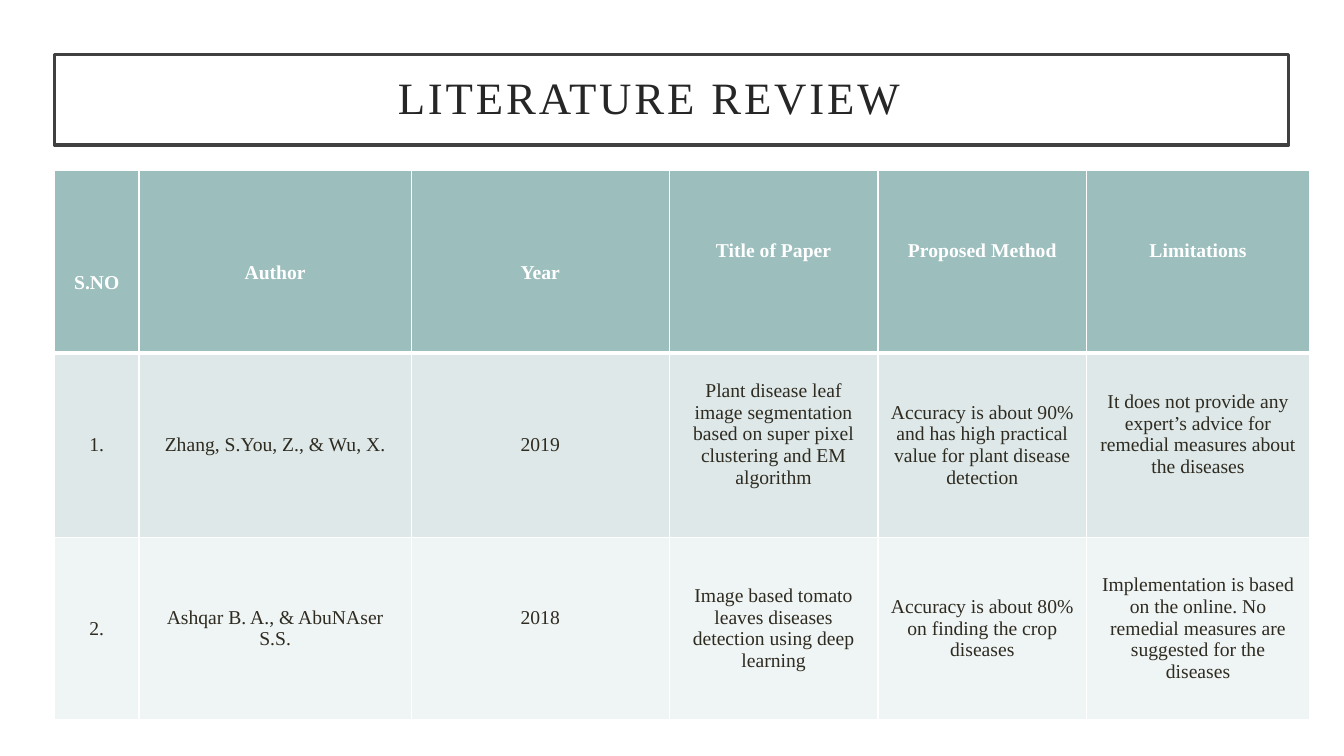
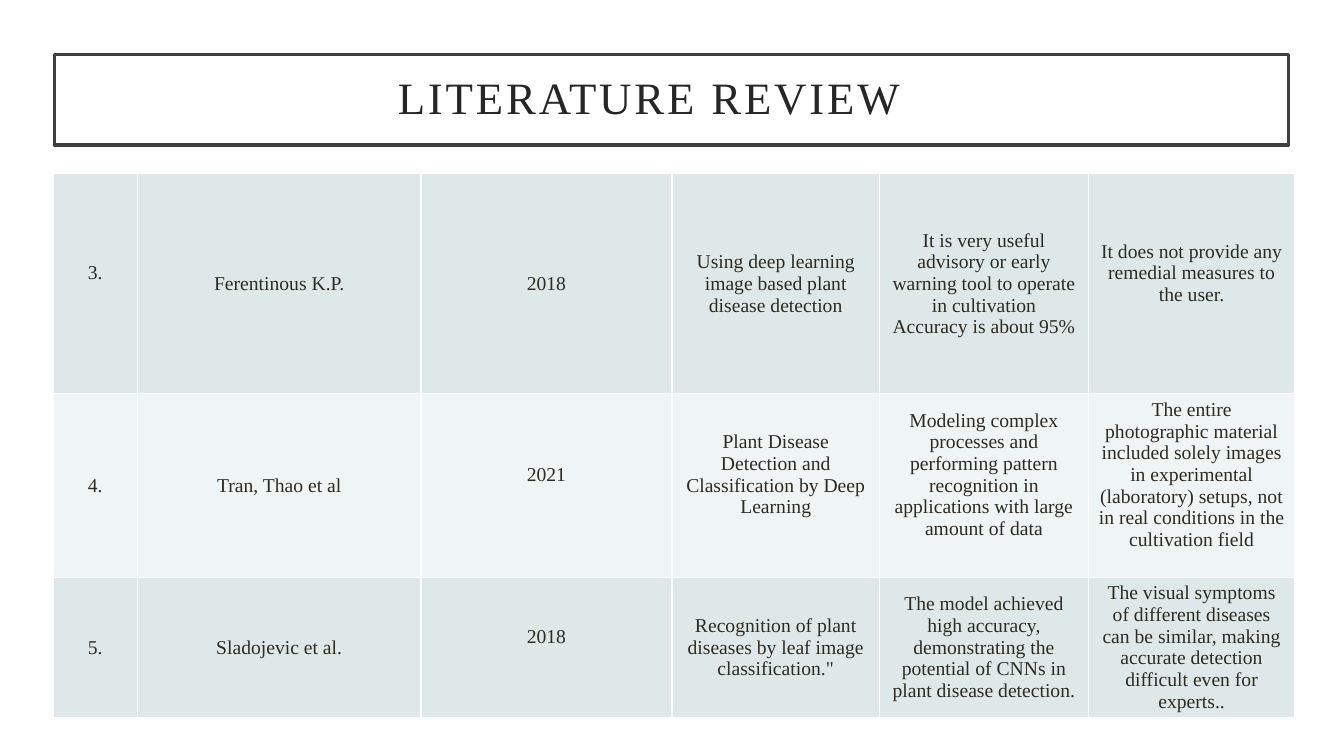
from dataclasses import dataclass

from pptx import Presentation, util as u
from pptx.dml.color import RGBColor
from pptx.enum import text
from pptx.oxml import parse_xml
from pptx.oxml.ns import nsdecls


@dataclass(frozen=True)
class Theme:
    font: str = "Times New Roman"
    title_size: int = 32
    cell_size: int = 14
    title_ink: str = "262626"
    ink: str = "2E2B21"
    white: str = "FFFFFF"
    frame: str = "404040"
    header: str = "9CBEBD"
    bands: tuple = ("DEE8E8", "EFF4F4")


theme = Theme()
prs = Presentation()
prs.slide_width, prs.slide_height = u.Inches(13.33), u.Inches(7.5)
col, row = prs.slide_width / 100, prs.slide_height / 100
half_line = u.Inches(0.215)


def style(p, size, color, bold=False):
    for r in p.runs:
        r.font.name, r.font.size, r.font.bold = theme.font, u.Pt(size), bold
        r.font.color.rgb = RGBColor.from_string(color)


def border(cell, side, width):
    cell._tc.get_or_add_tcPr().append(parse_xml(
        f'<a:ln{side} {nsdecls("a")} w="{u.Pt(width)}"><a:solidFill>'
        f'<a:srgbClr val="{theme.white}"/></a:solidFill></a:ln{side}>'))


header = ["S.NO", "Author", "Year", "Title of Paper", "Proposed Method", "Limitations"]
pages = [
    dict(
        left=4.05, top=22.55,
        widths=[6.3, 20.25, 19.2, 15.53, 15.53, 16.58],
        heights=[24.13, 24.4, 24.13],
        rows=[
            header,
            ["1.", "Zhang, S.You, Z., & Wu, X.", "2019",
             "Plant disease leaf image segmentation based on super pixel clustering and EM algorithm",
             "Accuracy is about 90% and has high practical value for plant disease detection",
             "It does not provide any expert’s advice for remedial measures about the diseases"],
            ["2.", "Ashqar B. A., & AbuNAser S.S.", "2018",
             "Image based tomato leaves diseases detection using deep learning",
             "Accuracy is about 80% on finding the crop diseases",
             "Implementation is based on the online. No remedial measures are suggested for the diseases"],
        ],
        shifts=[[2, 1, 1, -1, -1, -1], [0, 0, 0, -1, 0, -1], [0, 0, -1, 0, 0, 0]],
    ),
    dict(
        left=3.94, top=23,
        widths=[6.3, 21.08, 18.68, 15.45, 15.53, 15.38],
        heights=[29.1, 24.27, 18.53],
        rows=[
            ["3.", "Ferentinous K.P.", "2018",
             "Using deep learning image based plant disease detection",
             "It is very useful advisory or early warning tool to operate in cultivation\n"
             "Accuracy is about 95%",
             "It does not provide any remedial measures to the user."],
            ["4.", "Tran, Thao et al", "2021",
             "Plant Disease Detection and Classification by Deep Learning",
             "Modeling complex processes and performing pattern recognition in applications "
             "with large amount of data",
             "The entire photographic material included solely images in experimental "
             "(laboratory) setups, not in real conditions in the cultivation field"],
            ["5.", "Sladojevic et al.", "2018",
             "Recognition of plant diseases by leaf image classification.\"",
             "The model achieved high accuracy, demonstrating the potential of CNNs in "
             "plant disease detection.",
             "The visual symptoms of different diseases can be similar, making accurate "
             "detection difficult even for experts.."],
        ],
        shifts=[[-1, 0, 0, 0, 0, -1], [0, 0, -1, -1, -1, -1], [0, 0, -1, 0, 0, 0]],
    ),
]

for page in pages:
    s = prs.slides.add_slide(prs.slide_layouts[5])

    title = s.shapes.title
    title.left, title.top = int(4.05 * col), int(7.2 * row)
    title.width, title.height = int(91.82 * col), int(12 * row)
    title.fill.solid()
    title.fill.fore_color.rgb = RGBColor.from_string(theme.white)
    title.line.color.rgb = RGBColor.from_string(theme.frame)
    title.line.width = u.Pt(2.5)
    tf = title.text_frame
    tf.text = "LITERATURE REVIEW"
    tf.auto_size = text.MSO_AUTO_SIZE.NONE
    tf.vertical_anchor = text.MSO_ANCHOR.MIDDLE
    tf.margin_left = int(25.55 * col)
    tf.margin_top = tf.margin_right = tf.margin_bottom = u.Inches(0.2)
    p = tf.paragraphs[0]
    p.alignment, p.line_spacing = text.PP_ALIGN.LEFT, 0.9
    style(p, theme.title_size, theme.title_ink)
    p.runs[0].font._element.set("spc", "200")

    widths = [int(w * col) for w in page["widths"]]
    heights = [int(h * row) for h in page["heights"]]
    has_header = page["rows"][0] is header
    table = s.shapes.add_table(
        len(heights), len(widths), int(page["left"] * col), int(page["top"] * row),
        sum(widths), sum(heights)).table
    table.first_row = has_header
    for column, width in zip(table.columns, widths):
        column.width = width

    for i, (values, shifts) in enumerate(zip(page["rows"], page["shifts"])):
        table.rows[i].height = heights[i]
        is_header = has_header and i == 0
        fill = theme.header if is_header else theme.bands[(i - has_header) % 2]
        for j, (value, shift) in enumerate(zip(values, shifts)):
            cell = table.cell(i, j)
            cell.text_frame.text = value
            cell.vertical_anchor = text.MSO_ANCHOR.MIDDLE
            cell.margin_top = u.Inches(0.05) + max(shift, 0) * half_line
            cell.margin_bottom = u.Inches(0.05) + max(-shift, 0) * half_line
            for p in cell.text_frame.paragraphs:
                p.alignment = text.PP_ALIGN.CENTER
                style(p, theme.cell_size, theme.white if is_header else theme.ink, is_header)
            for side in "LRTB":
                under_header = (side == "B" and is_header) or (side == "T" and has_header and i == 1)
                border(cell, side, 3 if under_header else 1)
            cell.fill.solid()
            cell.fill.fore_color.rgb = RGBColor.from_string(fill)

prs.save("out.pptx")
